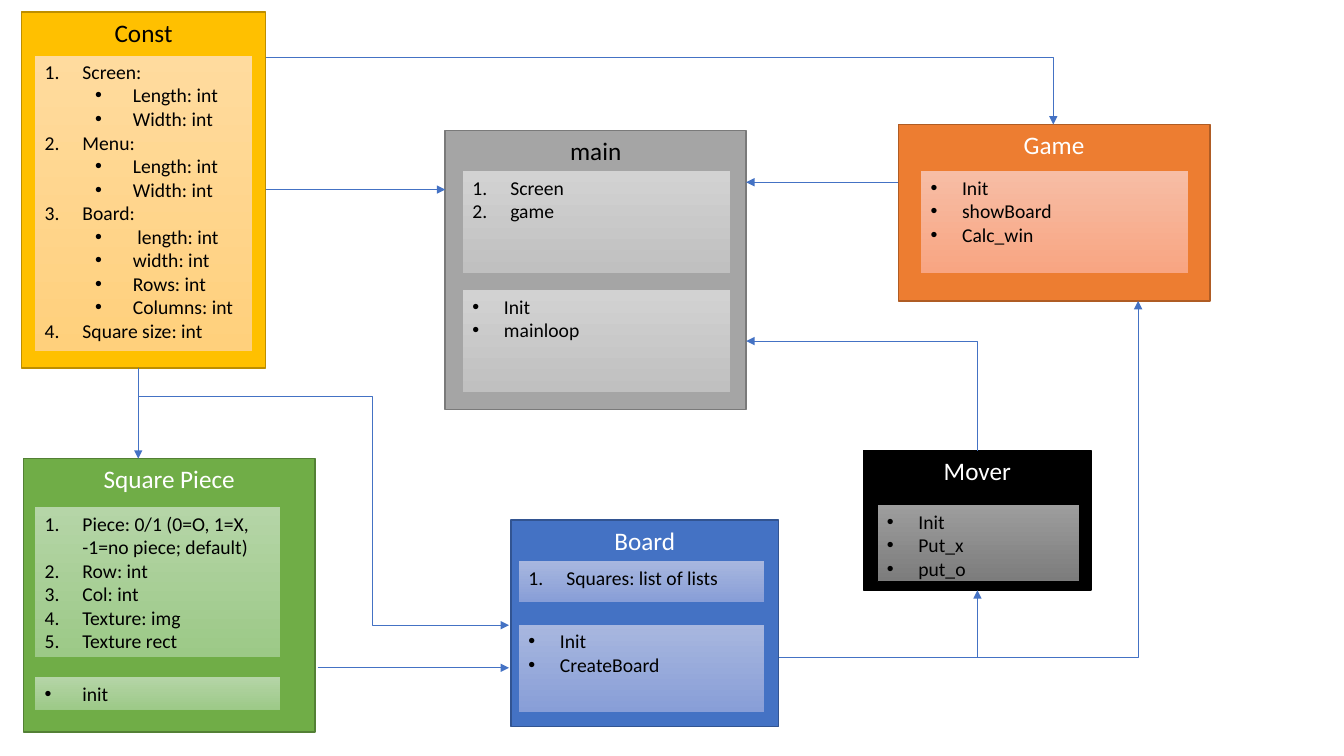
from pptx import Presentation
from pptx.dml.color import RGBColor
from pptx.enum.shapes import MSO_CONNECTOR as Connector, MSO_SHAPE as Shape
from pptx.enum.text import MSO_ANCHOR as Anchor, PP_ALIGN as Align
from pptx.oxml.ns import qn
from pptx.util import Pt
from lxml.etree import SubElement

theme = {
    "font": "Calibri", "title": 18, "body": 14, "ink": "000000", "link": "4472C4",
    "Const": ("FFC000", "BD8E00", "FFDB9E", "FFD07C", "000000"),
    "Board": ("4472C4", "325491", "A8B7DF", "889ED7", "FFFFFF"),
    "Square Piece": ("70AD47", "538035", "B5D5A7", "9CC987", "FFFFFF"),
    "Game": ("ED7D31", "AF5C24", "F7BDA5", "F8A582", "FFFFFF"),
    "Mover": ("000000", "000000", "9D9D9D", "7C7C7C", "FFFFFF"),
    "main": ("A5A5A5", "7A7A7A", "D2D2D2", "C0C0C0", "000000"),
}
list_styles = {
    "number": (0, 27, 27),
    "bullet": (0, 22.5, 22.5),
    "wide": (0, 27, 27),
    "nested": (1, 63, 27),
}
classes = [
    ("Const", (15.3, 8.6, 174.5, 254.2), [
        ((24.8, 39.2, 155.2, 212), [
            ("number", ["Screen:"]), ("nested", ["Length: int", "Width: int"]),
            ("number", ["Menu:"]), ("nested", ["Length: int", "Width: int"]),
            ("number", ["Board:"]),
            ("nested", [" length: int", "width: int", "Rows: int", "Columns: int"]),
            ("number", ["Square size: int"])])]),
    ("Board", (365, 371.6, 191.2, 147.4), [
        ((370.4, 400.6, 175.4, 29.4), [("number", ["Squares: list of lists"])]),
        ((370.4, 445.7, 175.4, 63), [("bullet", ["Init", "CreateBoard"])])]),
    ("Square Piece", (16.7, 327.6, 208.4, 195.2), [
        ((24.8, 361.8, 175.4, 107.6), [
            ("number", ["Piece: 0/1 (0=O, 1=X,\v-1=no piece; default)",
                        "Row: int", "Col: int", "Texture: img", "Texture rect"])]),
        ((24.8, 483.4, 175.4, 24.3), [("wide", ["init"])])]),
    ("Game", (641.6, 89, 222.6, 126), [
        ((657.6, 122, 191.2, 73), [("bullet", ["Init", "showBoard", "Calc_win"])])]),
    ("Mover", (616.9, 322, 162.4, 99.6), [
        ((626.4, 360.5, 144.4, 55), [("bullet", ["Init", "Put_x", "put_o"])])]),
    ("main", (318, 93.3, 215, 199.2), [
        ((330.4, 122, 191.2, 73), [("number", ["Screen", "game"])]),
        ((330.4, 207, 191.2, 73), [("bullet", ["Init", "mainloop"])])]),
]
links = [
    ("right then down", (190, 41), (752.4, 89)),
    ("step", (98.8, 283.2), (363.6, 446.6)),
    ("straight", (98.8, 262.8), (98.8, 327.6)),
    ("straight", (226.8, 477), (363.6, 477)),
    ("straight", (190, 135.4), (318, 135.4)),
    ("straight", (641.6, 130.2), (533, 130.2)),
    ("up then left", (698.2, 322), (533, 243.7)),
    ("right then up", (556.4, 469.6), (813, 215)),
    ("straight", (698.2, 469.6), (698.2, 421.6)),
]

deck = Presentation()
deck.slide_width, deck.slide_height = Pt(960), Pt(540)
page = deck.slides.add_slide(deck.slide_layouts[6])


def add_box(place, outline, weight):
    box = page.shapes.add_shape(Shape.RECTANGLE, *map(Pt, place))
    box.shadow.inherit = False
    box.line.color.rgb = RGBColor.from_string(outline)
    box.line.width = Pt(weight)
    box.text_frame.word_wrap = True
    box.text_frame.vertical_anchor = Anchor.TOP
    return box


def write(para, text, size, color, align):
    para.text = text
    para.alignment = align
    for span in para.runs:
        span.font.name = theme["font"]
        span.font.size = Pt(size)
        span.font.color.rgb = RGBColor.from_string(color)


for name, place, panels in classes:
    fill, outline, light, dark, title_color = theme[name]
    box = add_box(place, outline, 1)
    box.fill.solid()
    box.fill.fore_color.rgb = RGBColor.from_string(fill)
    write(box.text_frame.paragraphs[0], name, theme["title"], title_color, Align.CENTER)

    for panel_place, groups in panels:
        panel = add_box(panel_place, fill, 0.5)
        panel.fill.gradient()
        panel.fill.gradient_angle = 270
        for stop, shade in zip(panel.fill.gradient_stops, (light, dark)):
            stop.color.rgb = RGBColor.from_string(shade)
        frame = panel.text_frame
        items = [(style, text) for style, texts in groups for text in texts]
        for index, (style, text) in enumerate(items):
            para = frame.add_paragraph() if index else frame.paragraphs[0]
            write(para, text, theme["body"], theme["ink"], Align.LEFT)
            level, margin, hanging = list_styles[style]
            para.level = level
            props = para._p.get_or_add_pPr()
            props.set("marL", str(Pt(margin)))
            props.set("indent", str(-Pt(hanging)))
            if style == "number":
                SubElement(props, qn("a:buFont"), typeface="+mj-lt")
                SubElement(props, qn("a:buAutoNum"), type="arabicPeriod")
            else:
                SubElement(props, qn("a:buFont"), typeface="Arial")
                SubElement(props, qn("a:buChar"), char="•")

for route, begin, end in links:
    kind = Connector.STRAIGHT if route == "straight" else Connector.ELBOW
    if route == "up then left":
        middle_x, middle_y = (begin[0] + end[0]) / 2, (begin[1] + end[1]) / 2
        half_width, half_height = (begin[0] - end[0]) / 2, (begin[1] - end[1]) / 2
        begin = middle_x - half_height, middle_y + half_width
        end = middle_x + half_height, middle_y - half_width
    link = page.shapes.add_connector(kind, *map(Pt, begin + end))
    link.line.color.rgb = RGBColor.from_string(theme["link"])
    link.line.width = Pt(0.5)
    props = link._element.spPr
    SubElement(props.find(qn("a:ln")), qn("a:tailEnd"), type="triangle")
    SubElement(props, qn("a:effectLst"))
    geometry = props.find(qn("a:prstGeom"))
    if route == "step":
        SubElement(geometry.find(qn("a:avLst")), qn("a:gd"), name="adj1", fmla="val 63200")
    elif route != "straight":
        geometry.set("prst", "bentConnector2")
    if route == "up then left":
        props.find(qn("a:xfrm")).set("rot", "16200000")

deck.save("out.pptx")
